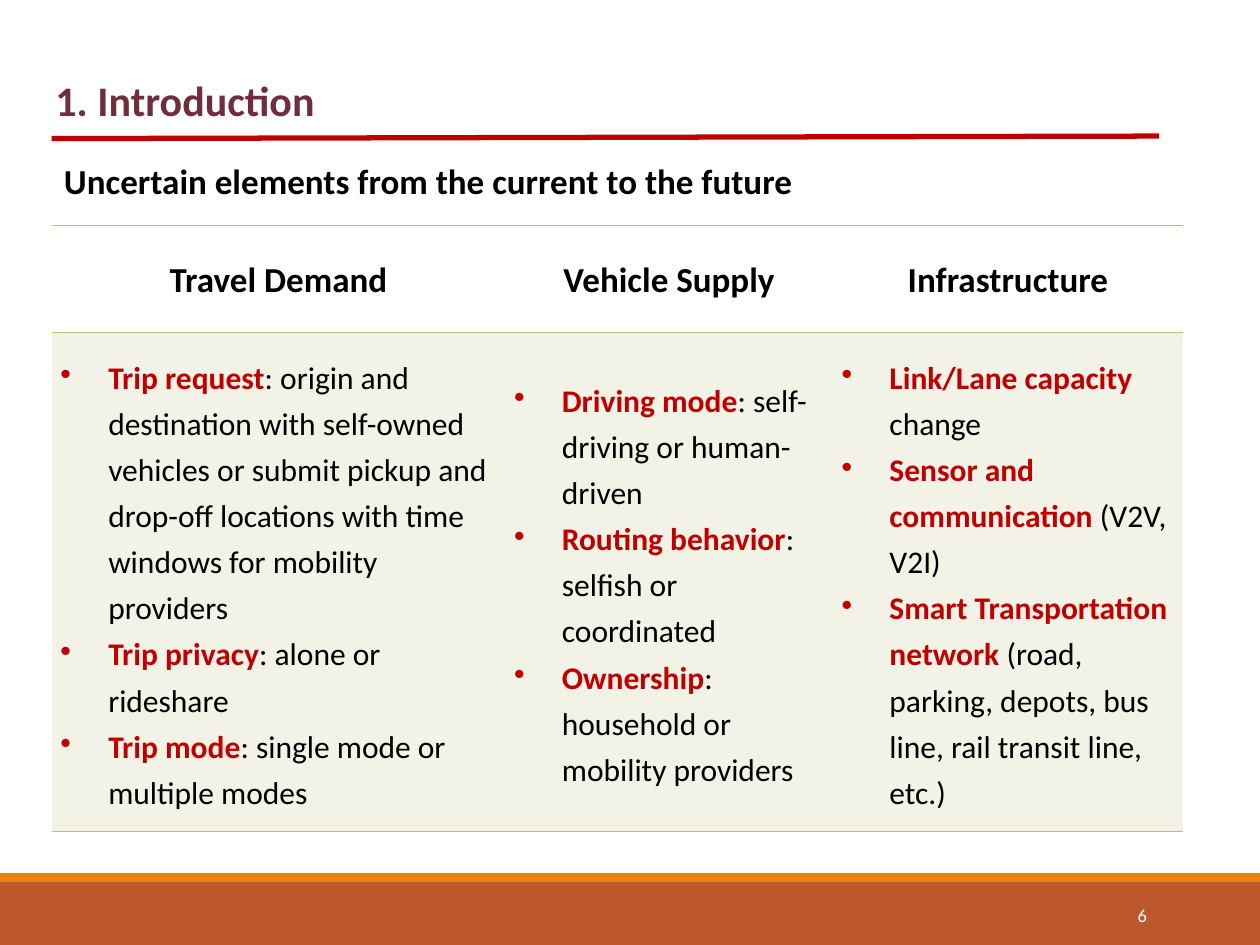
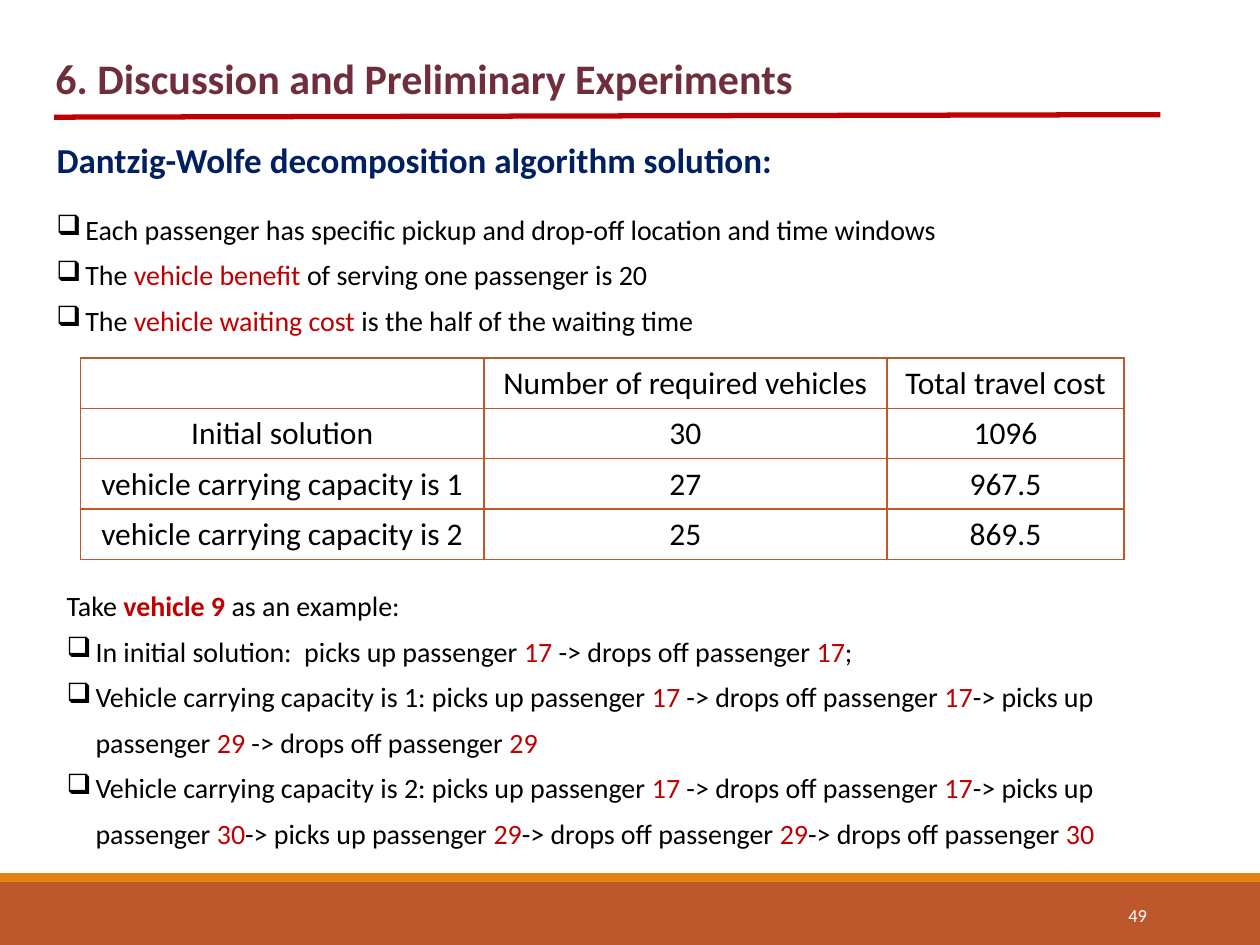
import pptx
import pptx.util
import pptx.dml.color
import pptx.enum.text
import pptx.enum.shapes
import pptx.oxml.ns
import lxml.etree

Inches = pptx.util.Inches
Pt = pptx.util.Pt
Align = pptx.enum.text.PP_ALIGN
Anchor = pptx.enum.text.MSO_ANCHOR
qn = pptx.oxml.ns.qn

RED, BLACK, WHITE, RUST, SAND = "C00000", "000000", "FFFFFF", "BD582C", "C2BC80"
HANG = {"•": 0.38, "❑": 0.23}


def hue(code):
    return pptx.dml.color.RGBColor.from_string(code)


def write(frame, lines, size, color=BLACK, bold=False, align=Align.LEFT, space=None):
    # "|" parts the runs; "*" opens a red run and "!" a bold red one
    frame.word_wrap = True
    for i, line in enumerate(lines):
        par = frame.add_paragraph() if i else frame.paragraphs[0]
        par.alignment = align
        par.line_spacing = space
        if line[0] in HANG:
            props = par._p.get_or_add_pPr()
            props.set("marL", str(Inches(HANG[line[0]])))
            props.set("indent", str(-Inches(HANG[line[0]])))
            lxml.etree.SubElement(props, qn("a:buChar")).set("char", line[0])
            line = line[1:]
        par.font.name = "Calibri"
        par.font.size = Pt(size)
        par.font.bold = bold
        par.font.color.rgb = hue(color)
        for part in line.split("|"):
            run = par.add_run()
            run.text = part.lstrip("*!")
            if part[0] in "*!":
                run.font.color.rgb = hue(RED)
                run.font.bold = part[0] == "!"


pages = [
    {
        "title": "1. Introduction", "page": "6", "top": 0.54,
        "rule": (0.41, 1.1, 9.2, 1.08),
        "texts": [
            ((0.41, 1.22, 6.96, 0.44), 20, BLACK, True, None,
             ["Uncertain elements from the current to the future"]),
        ],
        "spot": (0.41, 1.79), "cols": [3.6, 2.6, 2.78], "rows": [0.85, 3.96],
        "edge": SAND, "sides": "TB", "pad": (0.07, 0), "head": (20, True, 1.07),
        "body": (18, Align.LEFT, 1.2, "F3F2E6"),
        "cells": [
            [["Travel Demand"], ["Vehicle Supply"], ["Infrastructure"]],
            [
                ["•!Trip request|: origin and destination with self-owned vehicles or submit "
                 "pickup and drop-off locations with time windows for mobility providers",
                 "•!Trip privacy|: alone or rideshare",
                 "•!Trip mode|: single mode or multiple modes"],
                ["•!Driving mode|: self-driving or human-driven",
                 "•!Routing behavior|: selfish or coordinated",
                 "•!Ownership|: household or mobility providers"],
                ["•!Link/Lane capacity |change",
                 "•!Sensor and communication |(V2V, V2I)",
                 "•!Smart Transportation network| (road, parking, depots, bus line, "
                 "rail transit line, etc.)"],
            ],
        ],
    },
    {
        "title": "6. Discussion and Preliminary Experiments", "page": "49", "top": 0.37,
        "rule": (0.43, 0.93, 9.21, 0.91),
        "texts": [
            ((0.35, 1.05, 8.19, 0.44), 20, "002060", True, None,
             ["Dantzig-Wolfe decomposition algorithm solution:"]),
            ((0.35, 1.54, 8.84, 1.19), 16, BLACK, False, Pt(26), [
                "❑Each passenger has specific pickup and drop-off location and time windows",
                "❑The |*vehicle benefit |of serving one passenger is 20",
                "❑The |*vehicle waiting cost |is the half of the waiting time"]),
            ((0.43, 4.53, 8.91, 2.29), 16, BLACK, False, Pt(26), [
                "Take |!vehicle 9 |as an example:",
                "❑In initial solution:  picks up passenger |*17| -> drops off passenger |*17|;",
                "❑Vehicle carrying capacity is 1: picks up passenger |*17| -> drops off passenger "
                "|*17|-> picks up passenger |*29| -> drops off passenger |*29",
                "❑Vehicle carrying capacity is 2: picks up passenger |*17| -> drops off passenger "
                "|*17|-> picks up passenger |*30|-> picks up passenger |*29|-> drops off passenger "
                "|*29|-> drops off passenger |*30"]),
        ],
        "spot": (0.64, 2.84), "cols": [3.2, 3.2, 1.88], "rows": [0.4] * 4,
        "edge": RUST, "sides": "LRTB", "pad": (0.01, 0.01), "head": (18, False, None),
        "body": (18, Align.CENTER, None, None),
        "cells": [
            [[], ["Number of required vehicles"], ["Total travel cost"]],
            [["Initial solution"], ["30"], ["1096"]],
            [["vehicle carrying capacity is 1"], ["27"], ["967.5"]],
            [["vehicle carrying capacity is 2"], ["25"], ["869.5"]],
        ],
    },
]

deck = pptx.Presentation()
deck.slide_width, deck.slide_height = Inches(10), Inches(7.5)

for page in pages:
    slide = deck.slides.add_slide(deck.slide_layouts[5])
    shapes = slide.shapes

    for top, high, color in [(7, 0.5, RUST), (6.93, 0.07, "E48312")]:
        band = shapes.add_shape(pptx.enum.shapes.MSO_SHAPE.RECTANGLE,
                                0, Inches(top), Inches(10), Inches(high))
        band.shadow.inherit = False
        band.fill.solid()
        band.fill.fore_color.rgb = hue(color)
        band.line.fill.background()

    num = shapes.add_textbox(*map(Inches, (8.12, 7.06, 1.08, 0.4))).text_frame
    num.vertical_anchor = Anchor.MIDDLE
    write(num, [page["page"]], 10.5, WHITE, align=Align.RIGHT)

    title = shapes.title
    title.left, title.top = Inches(0.34), Inches(page["top"])
    title.width, title.height = Inches(8.65), Inches(0.5)
    title.text_frame.auto_size = pptx.enum.text.MSO_AUTO_SIZE.NONE
    title.text_frame.vertical_anchor = Anchor.TOP
    write(title.text_frame, [page["title"]], 24, "702E3C", True)

    rule = shapes.add_connector(pptx.enum.shapes.MSO_CONNECTOR.STRAIGHT,
                                *map(Inches, page["rule"]))
    rule.line.color.rgb = hue(RED)
    rule.line.width = Pt(3)
    lxml.etree.SubElement(rule._element.spPr, qn("a:effectLst"))

    for place, size, color, bold, space, lines in page["texts"]:
        box = shapes.add_textbox(*map(Inches, place))
        write(box.text_frame, lines, size, color, bold, space=space)

    cols, rows = page["cols"], page["rows"]
    place = (*page["spot"], sum(cols), sum(rows))
    grid = shapes.add_table(len(rows), len(cols), *map(Inches, place)).table
    grid.first_row = grid.horz_banding = False
    for col, wide in zip(grid.columns, cols):
        col.width = Inches(wide)
    for row, high in zip(grid.rows, rows):
        row.height = Inches(high)

    side, top = page["pad"]
    for r, row in enumerate(page["cells"]):
        for c, lines in enumerate(row):
            cell = grid.cell(r, c)
            cell.vertical_anchor = Anchor.MIDDLE
            cell.margin_left = cell.margin_right = Inches(side)
            cell.margin_top, cell.margin_bottom = Inches(top), 0
            for edge in "LRTB":
                line = lxml.etree.SubElement(cell._tc.tcPr, qn("a:ln" + edge))
                line.set("w", str(Pt(1)))
                if edge in page["sides"]:
                    fill = lxml.etree.SubElement(line, qn("a:solidFill"))
                    lxml.etree.SubElement(fill, qn("a:srgbClr")).set("val", page["edge"])
                else:
                    lxml.etree.SubElement(line, qn("a:noFill"))
            size, align, space, tint = page["body"]
            bold = False
            if r == 0:
                size, bold, space = page["head"]
                align, tint = Align.CENTER, None
            if tint:
                cell.fill.solid()
                cell.fill.fore_color.rgb = hue(tint)
            else:
                cell.fill.background()
            write(cell.text_frame, lines, size, BLACK, bold, align, space)

deck.save("out.pptx")
